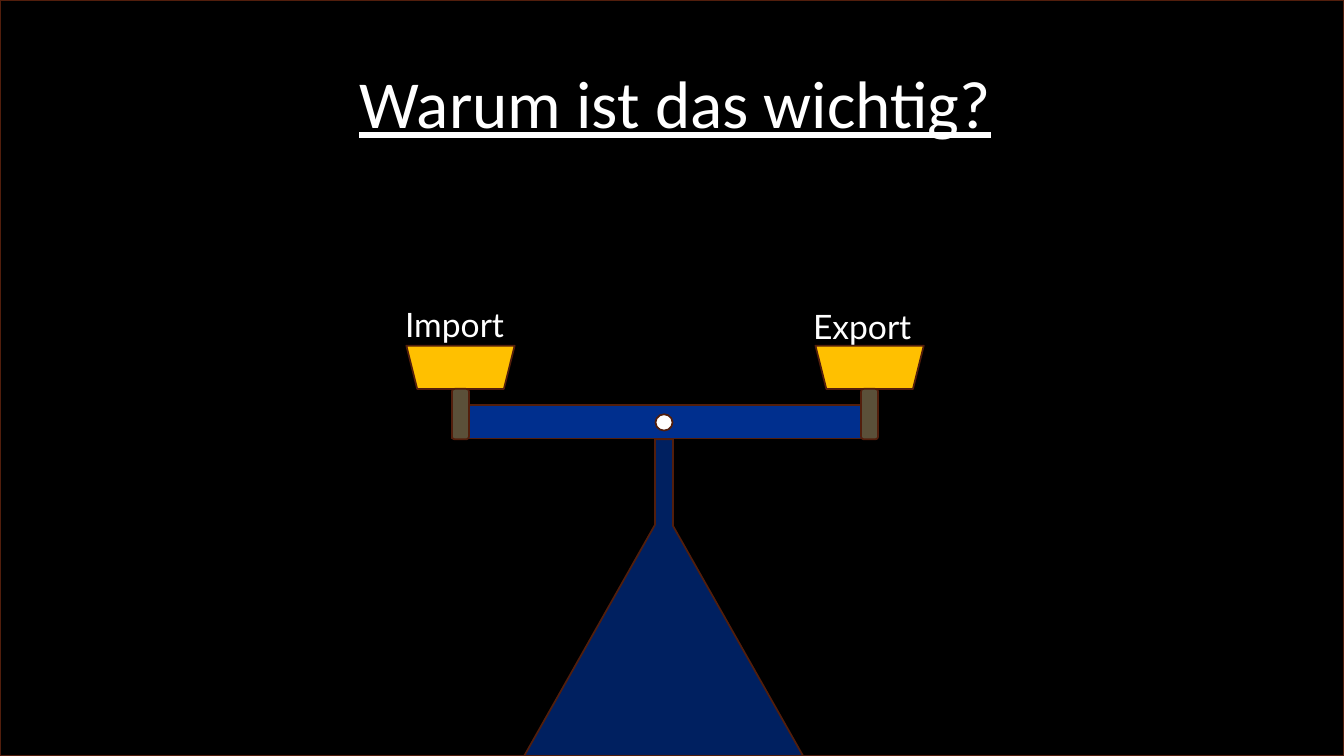
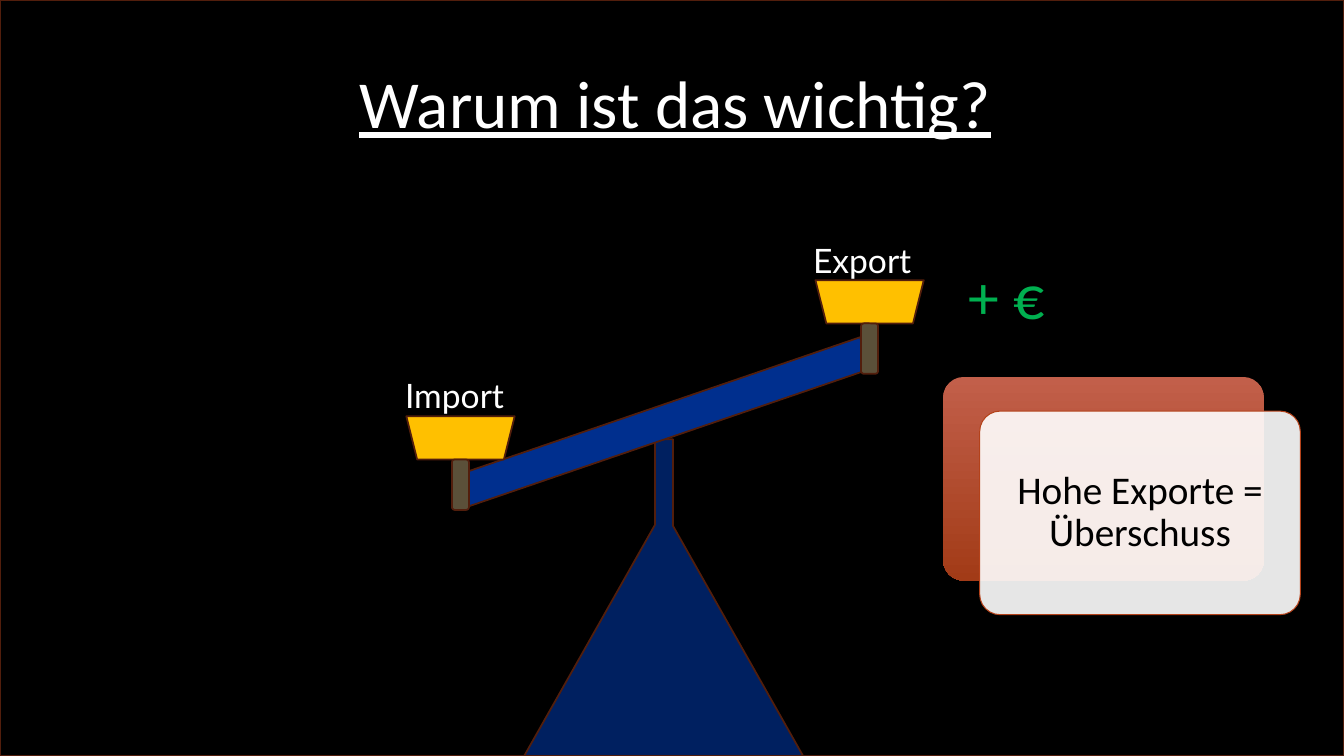
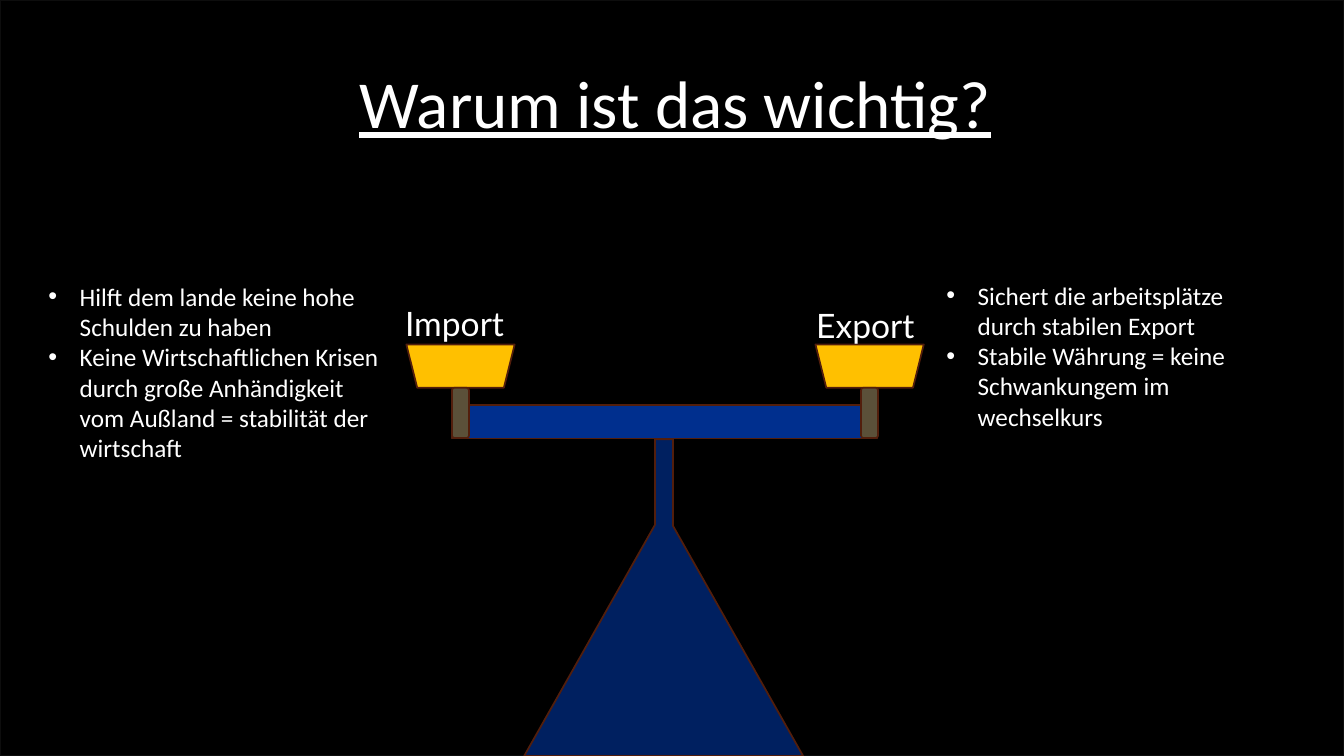
from dataclasses import dataclass
from typing import Any, NamedTuple

from lxml.etree import SubElement
from pptx import Presentation
from pptx.dml.color import RGBColor
from pptx.enum.shapes import MSO_SHAPE
from pptx.enum.text import MSO_ANCHOR, MSO_AUTO_SIZE, PP_ALIGN
from pptx.oxml.ns import qn
from pptx.shapes.autoshape import Shape
from pptx.slide import Slide
from pptx.util import Cm, Pt

BLACK = RGBColor(0x00, 0x00, 0x00)
WHITE = RGBColor(0xFF, 0xFF, 0xFF)
CHARCOAL = RGBColor(0x0D, 0x0D, 0x0D)
BROWN = RGBColor(0x52, 0x1E, 0x0C)
NAVY = RGBColor(0x00, 0x20, 0x60)
BLUE = RGBColor(0x00, 0x2F, 0x8E)
GOLD = RGBColor(0xFF, 0xC0, 0x00)
OLIVE = RGBColor(0x5B, 0x50, 0x39)
GREEN = RGBColor(0x00, 0xB0, 0x50)
BRICK = RGBColor(0xB4, 0x42, 0x1A)
CARD_GRADIENT = (RGBColor(0xC2, 0x5F, 0x4A), RGBColor(0xA2, 0x3B, 0x17))

SLIDE_WIDTH, SLIDE_HEIGHT = 33.87, 19.05
PAN_WIDTH, PAN_HEIGHT = 2.73, 1.09
POST_WIDTH, POST_HEIGHT = 0.43, 1.27
BULLET_INDENT = 0.79

TITLE_FONT = {"name": "Calibri", "size": Pt(48), "underline": True}
LABEL_FONT = {"name": "Lato", "size": Pt(24)}
BULLET_FONT = {"name": "Calibri", "size": Pt(18)}
EURO_FONT = {"name": "Calibri", "size": Pt(44)}
CARD_FONT = {"name": "Calibri", "size": Pt(28)}
GROWING_FRAME = {"word_wrap": True, "auto_size": MSO_AUTO_SIZE.SHAPE_TO_FIT_TEXT}
CARD_FRAME = {
    "word_wrap": True,
    "vertical_anchor": MSO_ANCHOR.MIDDLE,
    "margin_left": Cm(0.43),
    "margin_right": Cm(0.43),
    "margin_top": Cm(0.43),
    "margin_bottom": Cm(0.43),
}
CARD_PARAGRAPH = {"alignment": PP_ALIGN.CENTER, "line_spacing": 0.9}


class Box(NamedTuple):
    left: float
    top: float
    width: float
    height: float

    def lengths(self) -> list[Cm]:
        return [Cm(value) for value in self]


@dataclass(frozen=True)
class Pan:
    label: str
    left: float
    top: float
    label_left: float
    label_rise: float


@dataclass(frozen=True)
class Scale:
    import_top: float
    export_top: float
    export_label_left: float = 20.24
    rotation: float = 0
    pivot: bool = False
    border: RGBColor = BROWN

    def pans(self) -> list[Pan]:
        return [
            Pan("Import", 10.24, self.import_top, 9.96, 1.18),
            Pan("Export", 20.55, self.export_top, self.export_label_left, 1.13),
        ]


@dataclass(frozen=True)
class BulletList:
    box: Box
    items: tuple[str, ...]


BALANCED = Scale(import_top=8.71, export_top=8.71, pivot=True)
SURPLUS = Scale(import_top=10.49, export_top=7.06, rotation=341.1)
STABLE = Scale(import_top=8.68, export_top=8.68, export_label_left=20.32, border=CHARCOAL)

BENEFITS = (
    BulletList(
        Box(23.6, 6.93, 8.69, 6.4),
        (
            "Sichert die arbeitsplätze durch stabilen Export",
            "Stabile Währung = keine Schwankungem im wechselkurs",
        ),
    ),
    BulletList(
        Box(0.97, 6.96, 8.84, 6.4),
        (
            "Hilft dem lande keine hohe Schulden zu haben",
            "Keine Wirtschaftlichen Krisen durch große Anhändigkeit vom Außland"
            " = stabilität der wirtschaft",
        ),
    ),
)


def apply_format(target: Any, values: dict[str, Any]) -> None:
    for name, value in values.items():
        setattr(target, name, value)


def paint(shape: Shape, fill: RGBColor, line: RGBColor = BROWN, width: float = 1.25) -> None:
    shape.shadow.inherit = False
    shape.fill.solid()
    shape.fill.fore_color.rgb = fill
    shape.line.color.rgb = line
    shape.line.width = Pt(width)


def set_opacity(shape: Shape, percent: int) -> None:
    color = shape.fill._xPr.find(qn("a:solidFill"))[0]
    SubElement(color, qn("a:alpha"), val=str(percent * 1000))


def add_preset(slide: Slide, kind: MSO_SHAPE, box: Box, fill: RGBColor, **line: Any) -> Shape:
    shape = slide.shapes.add_shape(kind, *box.lengths())
    paint(shape, fill, **line)
    return shape


def write(shape: Shape, lines: tuple[str, ...], font: dict[str, Any],
          color: RGBColor, frame: dict[str, Any]) -> None:
    apply_format(shape.text_frame, frame)
    shape.text_frame.text = "\n".join(lines)
    for paragraph in shape.text_frame.paragraphs:
        apply_format(paragraph.font, font)
        paragraph.font.color.rgb = color


def add_text(slide: Slide, box: Box, lines: tuple[str, ...],
             font: dict[str, Any], color: RGBColor = WHITE) -> Shape:
    shape = slide.shapes.add_textbox(*box.lengths())
    write(shape, lines, font, color, GROWING_FRAME)
    return shape


def add_bullets(slide: Slide, bullets: BulletList) -> None:
    shape = add_text(slide, bullets.box, bullets.items, BULLET_FONT)
    for paragraph in shape.text_frame.paragraphs:
        properties = paragraph._p.get_or_add_pPr()
        properties.set("marL", str(Cm(BULLET_INDENT)))
        properties.set("indent", str(-Cm(BULLET_INDENT)))
        default_run = properties.find(qn("a:defRPr"))
        font = SubElement(properties, qn("a:buFont"), typeface="Arial")
        character = SubElement(properties, qn("a:buChar"), char="•")
        if default_run is not None:
            default_run.addprevious(font)
            default_run.addprevious(character)


def add_stand(slide: Slide) -> None:
    outline = [(16.51, 11.07), (16.96, 11.07), (16.96, 13.25),
               (20.24, SLIDE_HEIGHT), (13.21, SLIDE_HEIGHT), (16.51, 13.22)]
    points = [(Cm(x), Cm(y)) for x, y in outline]
    builder = slide.shapes.build_freeform(*points[0], scale=1.0)
    builder.add_line_segments(points[1:], close=True)
    paint(builder.convert_to_shape(), NAVY)


def add_pan(slide: Slide, pan: Pan) -> None:
    dish = add_preset(slide, MSO_SHAPE.TRAPEZOID,
                      Box(pan.left, pan.top, PAN_WIDTH, PAN_HEIGHT), GOLD)
    dish.rotation = 180
    post_left = pan.left + (PAN_WIDTH - POST_WIDTH) / 2
    add_preset(slide, MSO_SHAPE.ROUNDED_RECTANGLE,
               Box(post_left, pan.top + PAN_HEIGHT, POST_WIDTH, POST_HEIGHT), OLIVE)
    add_text(slide, Box(pan.label_left, pan.top - pan.label_rise, 3.28, 1.28),
             (pan.label,), LABEL_FONT)


def add_scale_slide(presentation: Any, scale: Scale) -> Slide:
    slide = presentation.slides.add_slide(presentation.slide_layouts[6])
    slide.background.fill.solid()
    slide.background.fill.fore_color.rgb = BLACK
    backdrop = add_preset(slide, MSO_SHAPE.RECTANGLE,
                          Box(0, 0, SLIDE_WIDTH, SLIDE_HEIGHT), BLACK, line=scale.border)
    set_opacity(backdrop, 70)
    add_text(slide, Box(8.81, 1.42, 19.96, 2.31), ("Warum ist das wichtig?",), TITLE_FONT)
    add_stand(slide)
    beam = add_preset(slide, MSO_SHAPE.RECTANGLE, Box(11.38, 10.21, 10.72, 0.84), BLUE)
    beam.rotation = scale.rotation
    for pan in scale.pans():
        add_pan(slide, pan)
    if scale.pivot:
        add_preset(slide, MSO_SHAPE.OVAL, Box(16.52, 10.44, 0.43, 0.41), WHITE)
    return slide


def add_card(slide: Slide, text: str) -> None:
    back_box = Box(23.77, 9.5, 8.08, 5.13)
    front_box = back_box._replace(left=back_box.left + 0.92, top=back_box.top + 0.86)
    back, front = (
        add_preset(slide, MSO_SHAPE.ROUNDED_RECTANGLE, box, WHITE, line=BRICK, width=0.75)
        for box in (back_box, front_box)
    )
    for shape in (back, front):
        shape.adjustments[0] = 0.1
    back.line.fill.background()
    back.fill.gradient()
    back.fill.gradient_angle = 270
    for position, (stop, color) in enumerate(zip(back.fill.gradient_stops, CARD_GRADIENT)):
        stop.position = position
        stop.color.rgb = color
    set_opacity(front, 90)
    write(front, (text,), CARD_FONT, BLACK, CARD_FRAME)
    apply_format(front.text_frame.paragraphs[0], CARD_PARAGRAPH)


def main() -> None:
    presentation = Presentation()
    presentation.slide_width = Cm(SLIDE_WIDTH)
    presentation.slide_height = Cm(SLIDE_HEIGHT)

    add_scale_slide(presentation, BALANCED)

    surplus_slide = add_scale_slide(presentation, SURPLUS)
    add_text(surplus_slide, Box(24.16, 6.38, 2.9, 2.13), ("+ €",), EURO_FONT, GREEN)
    add_card(surplus_slide, "Hohe Exporte = Überschuss")

    stable_slide = add_scale_slide(presentation, STABLE)
    for bullets in BENEFITS:
        add_bullets(stable_slide, bullets)

    presentation.save("out.pptx")


if __name__ == "__main__":
    main()
